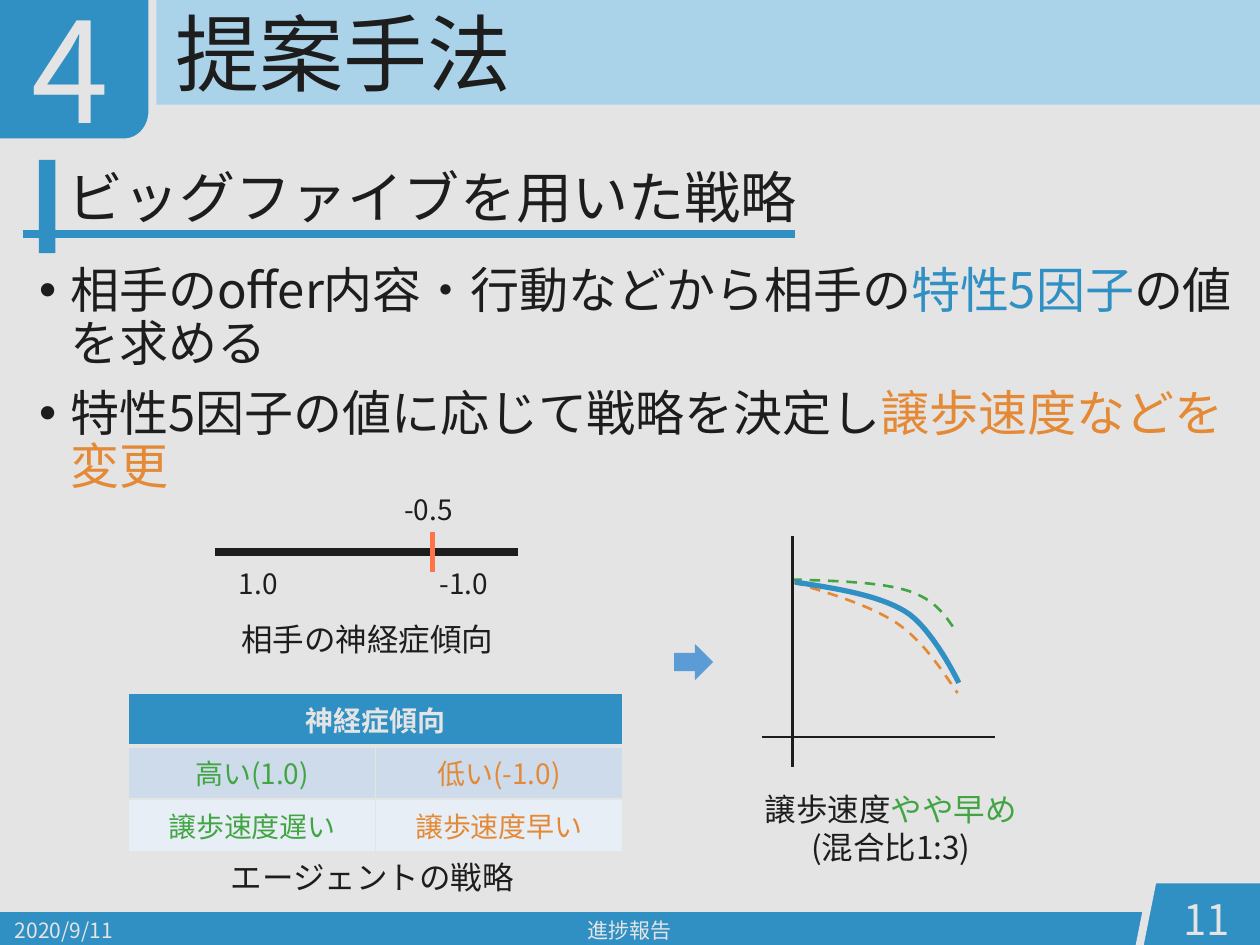
from lxml.etree import SubElement
from pptx import Presentation
from pptx.dml.color import RGBColor
from pptx.enum.dml import MSO_LINE
from pptx.enum.shapes import MSO_CONNECTOR, MSO_SHAPE
from pptx.enum.text import MSO_ANCHOR, MSO_AUTO_SIZE, PP_ALIGN
from pptx.oxml.ns import qn
from pptx.util import Inches, Pt

FONT = "Noto Sans CJK JP"
PAPER = RGBColor(0xE4, 0xE4, 0xE4)
INK = RGBColor(0x1D, 0x1D, 0x1D)
BLUE = RGBColor(0x30, 0x90, 0xC4)
SKY = RGBColor(0xAA, 0xD3, 0xEA)
GREEN = RGBColor(0x42, 0xA5, 0x44)
ORANGE = RGBColor(0xE4, 0x89, 0x35)
CORAL = RGBColor(0xFF, 0x73, 0x4B)
ARROW = RGBColor(0x5B, 0x9B, 0xD6)
ROW_DARK = RGBColor(0xCD, 0xDB, 0xEA)
ROW_LIGHT = RGBColor(0xE8, 0xEE, 0xF5)


def write(frame, paragraphs, size, align=PP_ALIGN.LEFT, spaced=False, bold=False):
    for index, spans in enumerate(paragraphs):
        para = frame.paragraphs[0] if index == 0 else frame.add_paragraph()
        para.alignment = align
        if spaced:
            para.line_spacing = 0.9
            para.space_before = Pt(10)
        for text, color in spans:
            span = para.add_run()
            span.text = text
            span.font.size = Pt(size)
            span.font.bold = bold
            span.font.name = FONT
            span.font.color.rgb = color
            SubElement(span.font._element, qn("a:ea"), typeface=FONT)


def add_text(page, box, paragraphs, size, align=PP_ALIGN.CENTER,
             anchor=MSO_ANCHOR.TOP, spaced=False):
    frame = page.shapes.add_textbox(*map(Inches, box)).text_frame
    frame.word_wrap = True
    frame.vertical_anchor = anchor
    write(frame, paragraphs, size, align, spaced)


def place_placeholder(page, holder, box, anchor):
    holder.left, holder.top, holder.width, holder.height = map(Inches, box)
    page.shapes.element.append(holder.element)
    frame = holder.text_frame
    frame.auto_size = MSO_AUTO_SIZE.NONE
    frame.word_wrap = True
    frame.vertical_anchor = anchor
    return frame


def add_block(page, kind, box, color):
    shape = page.shapes.add_shape(kind, *map(Inches, box))
    shape.shadow.inherit = False
    shape.fill.solid()
    shape.fill.fore_color.rgb = color
    shape.line.fill.background()


def add_line(page, start, end, color, width):
    line = page.shapes.add_connector(
        MSO_CONNECTOR.STRAIGHT, *map(Inches, (*start, *end)))
    line.line.color.rgb = color
    line.line.width = Pt(width)
    SubElement(line._element.spPr, qn("a:effectLst"))


def add_outline(page, points, color, width, fill=None, dashed=False):
    corners = [(Inches(x), Inches(y)) for x, y in points]
    builder = page.shapes.build_freeform(*corners[0])
    builder.add_line_segments(corners[1:], close=fill is not None)
    shape = builder.convert_to_shape()
    shape.shadow.inherit = False
    if fill is None:
        shape.fill.background()
    else:
        shape.fill.solid()
        shape.fill.fore_color.rgb = fill
    shape.line.color.rgb = color
    shape.line.width = Pt(width)
    if dashed:
        shape.line.dash_style = MSO_LINE.DASH


def bezier(start, *controls, steps=16):
    points = [start]
    for first in range(0, len(controls), 3):
        anchors = (points[-1], *controls[first:first + 3])
        for step in range(1, steps + 1):
            t = step / steps
            weights = ((1 - t) ** 3, 3 * t * (1 - t) ** 2, 3 * t * t * (1 - t), t ** 3)
            points.append(tuple(
                sum(w * p[axis] for w, p in zip(weights, anchors)) for axis in (0, 1)))
    return points


def build_header(page, box, title, badge):
    left, top, width, height = box
    add_block(page, MSO_SHAPE.RECTANGLE, box, SKY)
    corner = bezier((1.22, 0.89), (1.22, 1.03), (1.12, 1.14), (1, 1.14))
    outline = [(-0.06, -0.13), (1.22, -0.13), *corner, (-0.06, 1.14)]
    add_outline(page, [(left + x, top + y) for x, y in outline], PAPER, 4.5, BLUE)
    frame = place_placeholder(
        page, title, (left + 1.3, top - 0.13, 8.97, 1.2), MSO_ANCHOR.MIDDLE)
    write(frame, [[("提案手法", INK)]], 48)
    frame.paragraphs[0].line_spacing = 0.9
    frame = place_placeholder(
        page, badge, (left - 0.46, top - 0.02, 2.06, 1.06), MSO_ANCHOR.TOP)
    write(frame, [[("4", PAPER)]], 80, PP_ALIGN.CENTER, spaced=True)
    properties = frame.paragraphs[0]._p.get_or_add_pPr()
    properties.set("marL", "0")
    properties.set("indent", "0")
    SubElement(properties, qn("a:buNone"))


def build_footer(page, box):
    left, top, width, height = box
    add_block(page, MSO_SHAPE.RECTANGLE, box, BLUE)
    tab = [(10.11, -0.26), (9.16, -0.26), (9.04, 0.34), (10.11, 0.34)]
    add_outline(page, [(left + x, top + y) for x, y in tab], PAPER, 4.5, BLUE)
    for x, y, wide, text, size, align in (
            (0.03, -0.06, 2.25, "2020/9/11", 12, PP_ALIGN.LEFT),
            (3.32, -0.06, 3.38, "進捗報告", 12, PP_ALIGN.CENTER),
            (9.22, -0.15, 0.65, "11", 24, PP_ALIGN.RIGHT)):
        add_text(page, (left + x, top + y, wide, 0.4), [[(text, PAPER)]],
                 size, align, MSO_ANCHOR.MIDDLE)


def build_heading(page, box):
    left, top, width, height = box
    add_line(page, (left, top + 0.59), (left + width, top + 0.59), BLUE, 4.5)
    add_block(page, MSO_SHAPE.RECTANGLE, (left + 0.13, top, 0.13, height), BLUE)
    add_text(page, (left + 0.26, top + 0.03, 8.91, height),
             [[("ビッグファイブを用いた戦略", INK)]], 32, PP_ALIGN.LEFT, spaced=True)


def build_list(page, box, body):
    frame = place_placeholder(page, body, box, MSO_ANCHOR.TOP)
    write(frame, [
        [("相手のoffer内容・行動などから相手の", INK), ("特性5因子", BLUE),
         ("の値を求める", INK)],
        [("特性5因子の値に応じて戦略を決定し", INK), ("譲歩速度などを変更", ORANGE)],
    ], 28, spaced=True)
    for para in frame.paragraphs:
        properties = para._p.get_or_add_pPr()
        properties.set("marL", str(Inches(0.25)))
        properties.set("indent", str(Inches(-0.25)))
        SubElement(properties, qn("a:buFont"), typeface="Arial")
        SubElement(properties, qn("a:buChar"), char="•")


def build_scale(page, box):
    left, top, width, height = box
    axis = top + 0.52
    add_line(page, (left, axis), (left + width, axis), INK, 4.5)
    for center, y, text in ((0.34, 0.59, "1.0"), (1.97, 0.59, "-1.0"), (1.69, 0, "-0.5")):
        add_text(page, (left + center - 0.45, top + y, 0.9, 0.37), [[(text, INK)]], 16)
    add_line(page, (left + 1.72, axis - 0.16), (left + 1.72, axis + 0.16), CORAL, 3)
    add_text(page, (left - 0.03, top + 1.01, 2.47, 0.4), [[("相手の神経症傾向", INK)]], 18)


def style_cell(cell, fill, text, color, bold, bottom):
    properties = cell._tc.get_or_add_tcPr()
    for side, width in (("L", 1), ("R", 1), ("T", 1), ("B", bottom)):
        border = SubElement(properties, qn("a:ln" + side), w=str(Pt(width)))
        paint = SubElement(border, qn("a:solidFill"))
        SubElement(paint, qn("a:srgbClr"), val=str(PAPER))
    cell.fill.solid()
    cell.fill.fore_color.rgb = fill
    if text:
        write(cell.text_frame, [[(text, color)]], 16, PP_ALIGN.CENTER, bold=bold)


def build_strategy_table(page, box):
    left, top, width, height = box
    table = page.shapes.add_table(3, 2, *map(Inches, box)).table
    table.cell(0, 0).merge(table.cell(0, 1))
    rows = (
        (BLUE, (("神経症傾向", PAPER), ("", PAPER))),
        (ROW_DARK, (("高い(1.0)", GREEN), ("低い(-1.0)", ORANGE))),
        (ROW_LIGHT, (("譲歩速度遅い", GREEN), ("譲歩速度早い", ORANGE))),
    )
    for row, (fill, entries) in enumerate(rows):
        for column, (text, color) in enumerate(entries):
            style_cell(table.cell(row, column), fill, text, color,
                       row == 0, 3 if row == 0 else 1)
    add_text(page, (left + 0.58, top + 1.26, 2.71, 0.4),
             [[("エージェントの戦略", INK)]], 18)


def build_concession_plot(page, box):
    left, top, width, height = box
    curves = (
        (GREEN, 1.5, True, ((0.23, 0.35), (0.58, 0.36), (0.94, 0.37), (1.16, 0.44),
                            (1.37, 0.51), (1.45, 0.63), (1.53, 0.75))),
        (ORANGE, 1.5, True, ((0.24, 0.37), (0.54, 0.46), (0.84, 0.55), (1.06, 0.69),
                             (1.28, 0.84), (1.41, 1.05), (1.55, 1.25))),
        (BLUE, 3, False, ((0.26, 0.37), (0.58, 0.42), (0.91, 0.47), (1.13, 0.6),
                          (1.35, 0.73), (1.56, 1.17), (1.56, 1.17))),
    )
    for color, weight, dashed, anchors in curves:
        points = bezier(*((left + x, top + y) for x, y in anchors))
        add_outline(page, points, color, weight, dashed=dashed)
    add_line(page, (left, top + 1.6), (left + width, top + 1.6), INK, 1.5)
    add_line(page, (left + 0.24, top), (left + 0.24, top + height), INK, 1.5)
    add_text(page, (left - 0.11, top + 1.97, 2.26, 0.71),
             [[("譲歩速度", INK), ("やや早め", GREEN)], [("(混合比1:3)", INK)]], 18)


def main():
    deck = Presentation()
    deck.slide_width, deck.slide_height = Inches(10), Inches(7.5)
    page = deck.slides.add_slide(deck.slide_layouts[3])
    page.background.fill.solid()
    page.background.fill.fore_color.rgb = PAPER
    title, body, badge = page.placeholders
    build_header(page, (-0.01, -0.01, 10.04, 0.84), title, badge)
    build_footer(page, (-0.01, 7.24, 10.04, 0.27))
    build_heading(page, (0.18, 1.27, 6.13, 0.74))
    build_list(page, (0.21, 2.06, 9.69, 5.13), body)
    build_strategy_table(page, (1.02, 5.5, 3.92, 1.22))
    build_scale(page, (1.71, 3.86, 2.4, 1.41))
    add_block(page, MSO_SHAPE.RIGHT_ARROW, (5.35, 5.11, 0.31, 0.29), ARROW)
    build_concession_plot(page, (6.05, 4.25, 1.85, 1.84))
    deck.save("out.pptx")


if __name__ == "__main__":
    main()
